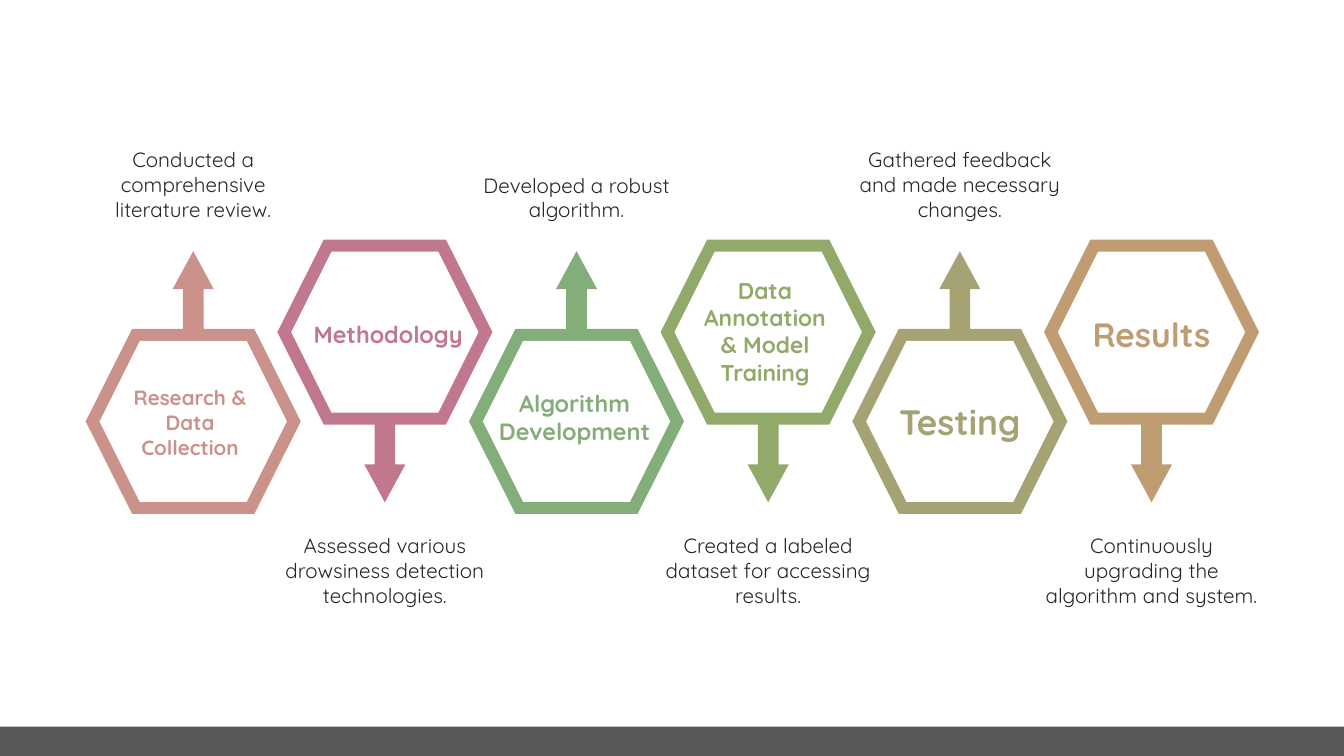
from dataclasses import dataclass

import pptx
import pptx.dml.color
import pptx.enum.shapes
import pptx.enum.text
import pptx.util

Cm, Pt = pptx.util.Cm, pptx.util.Pt

# label, label size, label lines, label width, label offset (dx, dy), caption, caption lines, colour
STAGES = [
    ("Research & Data Collection", 14.7, 3, 3.4, (-0.08, 0.04),
     "Conducted a comprehensive literature review.", 3, "CA928A"),
    ("Methodology", 16.8, 1, 4.42, (0.08, 0.06),
     "Assessed various drowsiness detection technologies.", 3, "C1778C"),
    ("Algorithm Development", 16.8, 2, 4.45, (-0.05, -0.1),
     "Developed a robust algorithm.", 2, "83AD79"),
    ("Data Annotation & Model Training", 16.3, 4, 3.76, (-0.08, 0),
     "Created a labeled dataset for accessing results.", 3, "91AA69"),
    ("Testing", 25.2, 1, 3.63, (0, 0.02),
     "Gathered feedback and made necessary changes.", 3, "A5A374"),
    ("Results", 24, 1, 4.39, (0, 0.06),
     "Continuously upgrading the algorithm and system.", 3, "BF9C71"),
]


@dataclass(frozen=True)
class Theme:
    font: str = "Quicksand"
    caption_size: float = 14.7
    caption: str = "262626"
    bar: str = "595959"
    inside: str = "FFFFFF"


THEME = Theme()

SLIDE_W, SLIDE_H = 33.87, 19.05
BAR_H = 0.74
FIRST_X, PITCH = 4.87, 4.83
UP_Y, DOWN_Y = 10.62, 8.37
INNER_W, INNER_H = 4.72, 4.06
CAPTION_W, UPPER_CAPTION_BOTTOM, LOWER_CAPTION_TOP = 6.17, 5.74, 13.31

# Right half of the upward badge, from the arrow tip down, relative to the hexagon's centre
HALF_BADGE = [(0, -4.29), (0.52, -3.33), (0.26, -3.33), (0.26, -2.33),
              (1.54, -2.33), (2.71, 0), (1.54, 2.33)]
BADGE = HALF_BADGE + [(-x, y) for x, y in reversed(HALF_BADGE[1:])]


def rgb(colour):
    return pptx.dml.color.RGBColor.from_string(colour)


def paint(shape, colour):
    shape.shadow.inherit = False
    shape.fill.solid()
    shape.fill.fore_color.rgb = rgb(colour)
    shape.line.fill.background()


def add_badge(slide, x, y, direction, colour):
    """Draw a hexagon with its arrow; direction is 1 for up and -1 for down."""
    points = [(Cm(x + dx), Cm(y + direction * dy)) for dx, dy in BADGE]
    builder = slide.shapes.build_freeform(*points[0])
    builder.add_line_segments(points[1:], close=True)
    paint(builder.convert_to_shape(), colour)
    inside = slide.shapes.add_shape(
        pptx.enum.shapes.MSO_SHAPE.HEXAGON, Cm(x - INNER_W / 2),
        Cm(y - INNER_H / 2), Cm(INNER_W), Cm(INNER_H))
    paint(inside, THEME.inside)


def text_height(lines, size):
    """Height in cm of wrapped lines plus the box's vertical insets."""
    return Pt(lines * size * 1.22 + 7.2).cm


def add_words(slide, words, x, top, width, height, size, colour, bold=False):
    """Add centred text in a box whose middle is at x."""
    box = slide.shapes.add_textbox(Cm(x - width / 2), Cm(top), Cm(width), Cm(height))
    frame = box.text_frame
    frame.word_wrap = True
    frame.auto_size = pptx.enum.text.MSO_AUTO_SIZE.SHAPE_TO_FIT_TEXT
    paragraph = frame.paragraphs[0]
    paragraph.text = words
    paragraph.alignment = pptx.enum.text.PP_ALIGN.CENTER
    paragraph.space_after = Pt(6)
    paragraph.font.name = THEME.font
    paragraph.font.size = Pt(size)
    paragraph.font.bold = bold
    paragraph.font.color.rgb = rgb(colour)


def main():
    deck = pptx.Presentation()
    deck.slide_width, deck.slide_height = Cm(SLIDE_W), Cm(SLIDE_H)
    slide = deck.slides.add_slide(deck.slide_layouts.get_by_name("Blank"))

    bar = slide.shapes.add_shape(
        pptx.enum.shapes.MSO_SHAPE.RECTANGLE, 0, Cm(SLIDE_H - BAR_H),
        Cm(SLIDE_W), Cm(BAR_H))
    paint(bar, THEME.bar)

    for index, stage in enumerate(STAGES):
        label, size, lines, width, (dx, dy), caption, caption_lines, colour = stage
        x = FIRST_X + index * PITCH
        points_up = index % 2 == 0
        y = UP_Y if points_up else DOWN_Y
        add_badge(slide, x, y, 1 if points_up else -1, colour)

        label_h = text_height(lines, size)
        add_words(slide, label, x + dx, y + dy - label_h / 2, width, label_h,
                  size, colour, bold=True)

        caption_h = text_height(caption_lines, THEME.caption_size)
        caption_top = UPPER_CAPTION_BOTTOM - caption_h if points_up else LOWER_CAPTION_TOP
        add_words(slide, caption, x, caption_top, CAPTION_W, caption_h,
                  THEME.caption_size, THEME.caption)

    deck.save("out.pptx")


if __name__ == "__main__":
    main()
